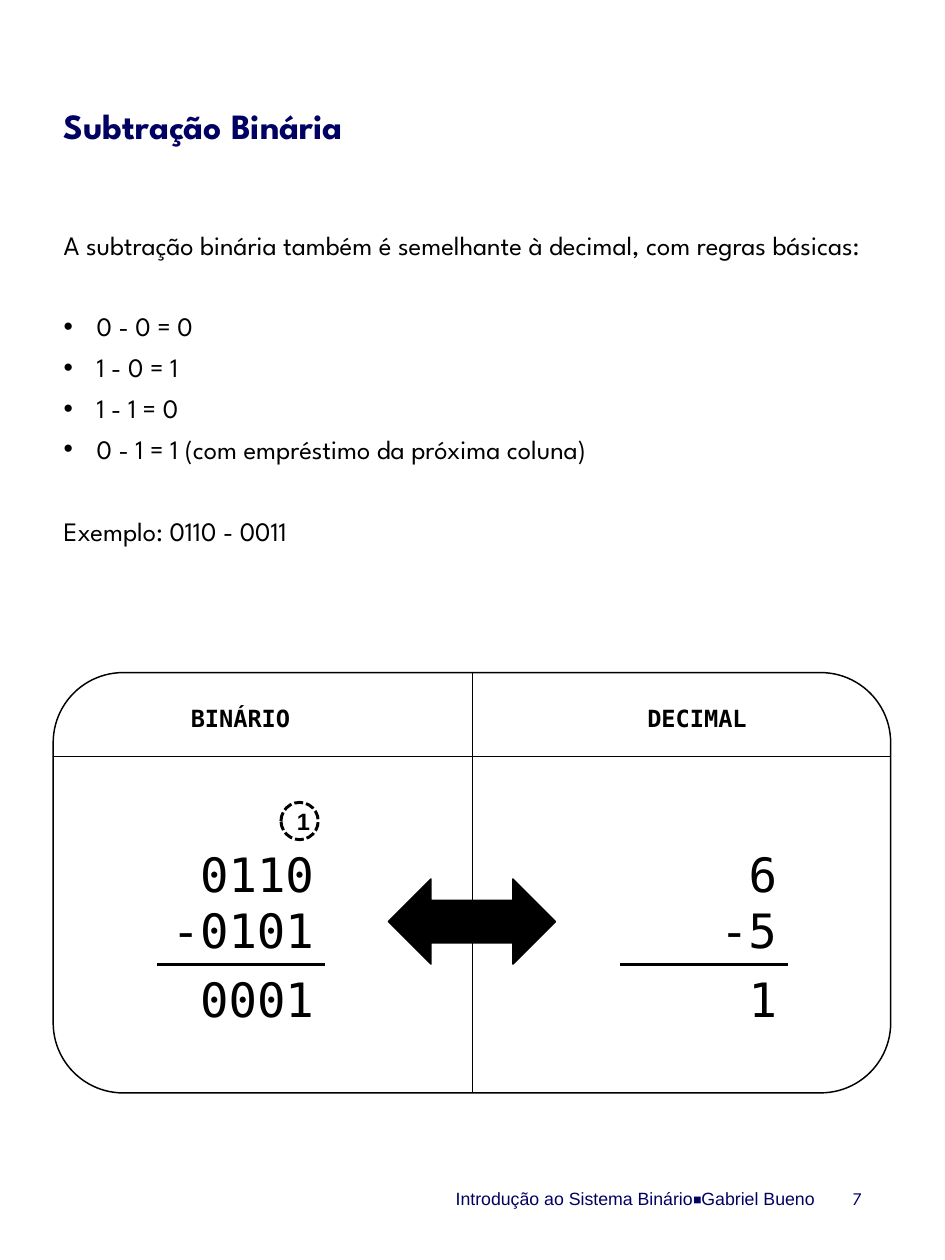
"""Builds the page on binary subtraction."""
from dataclasses import dataclass

from lxml import etree
from pptx import Presentation
from pptx.dml.color import RGBColor
from pptx.enum import dml, shapes, text
from pptx.oxml import ns
from pptx.util import Inches, Pt

HUES = {"navy": "000163", "black": "000000", "white": "FFFFFF"}
SPARTAN, MONO, ARIAL = "League Spartan", "DejaVu Sans Mono", "Arial"
LEFT, RIGHT, TOP, BASE = 0.5, 8.37, 6.32, 10.27
MID, HEAD, RULE, WIDE = 4.44, 7.11, 9.06, 1.57
BLANK = 27.7
Box = tuple[float, float, float, float]


@dataclass
class Style:
    size: float
    face: str
    hue: str = "black"
    bold: bool = False
    align: text.PP_ALIGN = text.PP_ALIGN.LEFT


@dataclass
class Line:
    words: str
    before: float = 0
    bullet: bool = False


@dataclass
class Sum:
    left: float
    terms: list[str]
    total: str
    title: str
    start: float


SUMS = [
    Sum(1.48, ["0110", "-0101"], "0001", "BINÁRIO", 1.08),
    Sum(5.83, ["6", "-5"], "1", "DECIMAL", 5.37),
]
BODY = [
    Line("A subtração binária também é semelhante à decimal, com regras básicas:", 2 * BLANK),
    Line("0 - 0 = 0", BLANK, True),
    Line("1 - 0 = 1", bullet=True),
    Line("1 - 1 = 0", bullet=True),
    Line("0 - 1 = 1 (com empréstimo da próxima coluna)", bullet=True),
    Line("Exemplo: 0110 - 0011", BLANK),
]


def tint(hue: str) -> RGBColor:
    return RGBColor.from_string(HUES[hue])


def dress(para, words: str, style: Style) -> None:
    para.text = words
    para.alignment = style.align
    font = para.font
    font.size, font.name, font.bold = Pt(style.size), style.face, style.bold
    font.color.rgb = tint(style.hue)


def add_text(page, box: Box, lines: list[str], style: Style, middle: bool = False):
    frame = page.shapes.add_textbox(*map(Inches, box)).text_frame
    frame.word_wrap = True
    if middle:
        frame.vertical_anchor = text.MSO_ANCHOR.MIDDLE
    for i, words in enumerate(lines):
        para = frame.add_paragraph() if i else frame.paragraphs[0]
        dress(para, words, style)
    return frame


def add_form(page, kind: shapes.MSO_SHAPE, box: Box, fill: str, width: float):
    form = page.shapes.add_shape(kind, *map(Inches, box))
    form.shadow.inherit = False
    form.fill.solid()
    form.fill.fore_color.rgb = tint(fill)
    form.line.color.rgb = tint("black")
    form.line.width = Pt(width)
    return form


def add_rule(page, ends: Box, width: float) -> None:
    rule = page.shapes.add_connector(shapes.MSO_CONNECTOR.STRAIGHT, *map(Inches, ends))
    rule.line.color.rgb = tint("black")
    rule.line.width = Pt(width)
    etree.SubElement(rule._element.spPr, ns.qn("a:effectLst"))


def add_bullet(para) -> None:
    props = para._p.get_or_add_pPr()
    props.set("marL", str(Inches(0.31)))
    props.set("indent", str(-Inches(0.31)))
    etree.SubElement(props, ns.qn("a:buFont")).set("typeface", ARIAL)
    etree.SubElement(props, ns.qn("a:buChar")).set("char", "•")


def add_body(page) -> None:
    just = text.PP_ALIGN.JUSTIFY
    title = Style(24, SPARTAN, "navy", True, just)
    plain = Style(18, SPARTAN, align=just)
    frame = add_text(page, (LEFT, 0.93, 7.87, 4.59), ["Subtração Binária"], title)
    for line in BODY:
        para = frame.add_paragraph()
        dress(para, line.words, plain)
        para.space_before, para.space_after = Pt(line.before), Pt(6)
        if line.bullet:
            add_bullet(para)


def add_sum(page, item: Sum) -> None:
    digits = Style(32, MONO, align=text.PP_ALIGN.RIGHT)
    label = Style(16, MONO, bold=True, align=text.PP_ALIGN.CENTER)
    add_text(page, (item.left, 7.89, WIDE, 1.18), item.terms, digits)
    add_rule(page, (item.left, RULE, item.left + WIDE, RULE), 2)
    add_text(page, (item.left, 9.07, WIDE, 0.64), [item.total], digits)
    add_text(page, (item.start, 6.57, 2.36, 0.37), [item.title], label)


def add_carry(page) -> None:
    ring = add_form(page, shapes.MSO_SHAPE.OVAL, (2.64, 7.54, 0.35, 0.35), "white", 2)
    ring.line.dash_style = dml.MSO_LINE.SQUARE_DOT
    ring.text_frame.vertical_anchor = text.MSO_ANCHOR.MIDDLE
    style = Style(16, ARIAL, bold=True, align=text.PP_ALIGN.CENTER)
    dress(ring.text_frame.paragraphs[0], "1", style)


def add_panel(page) -> None:
    frame = (LEFT, TOP, RIGHT - LEFT, BASE - TOP)
    add_form(page, shapes.MSO_SHAPE.ROUNDED_RECTANGLE, frame, "white", 1)
    for item in SUMS:
        add_sum(page, item)
    add_carry(page)
    add_rule(page, (LEFT, HEAD, RIGHT, HEAD), 0.5)
    add_rule(page, (MID, TOP, MID, BASE), 0.5)
    add_form(page, shapes.MSO_SHAPE.LEFT_RIGHT_ARROW, (3.65, 8.26, WIDE, 0.8), "black", 1)


def add_foot(page) -> None:
    name = Style(12, ARIAL, "navy", align=text.PP_ALIGN.RIGHT)
    count = Style(12, SPARTAN, "navy", align=text.PP_ALIGN.CENTER)
    add_text(page, (0.53, 11.11, 7.23, 0.3),
             ["Introdução ao Sistema Binário◾Gabriel Bueno"], name, True)
    add_text(page, (7.76, 11.11, 0.59, 0.3), ["7"], count, True)


def main() -> None:
    deck = Presentation()
    deck.slide_width, deck.slide_height = Inches(8.88), Inches(11.84)
    page = deck.slides.add_slide(deck.slide_layouts[6])
    add_foot(page)
    add_body(page)
    add_panel(page)
    deck.save("out.pptx")


if __name__ == "__main__":
    main()
